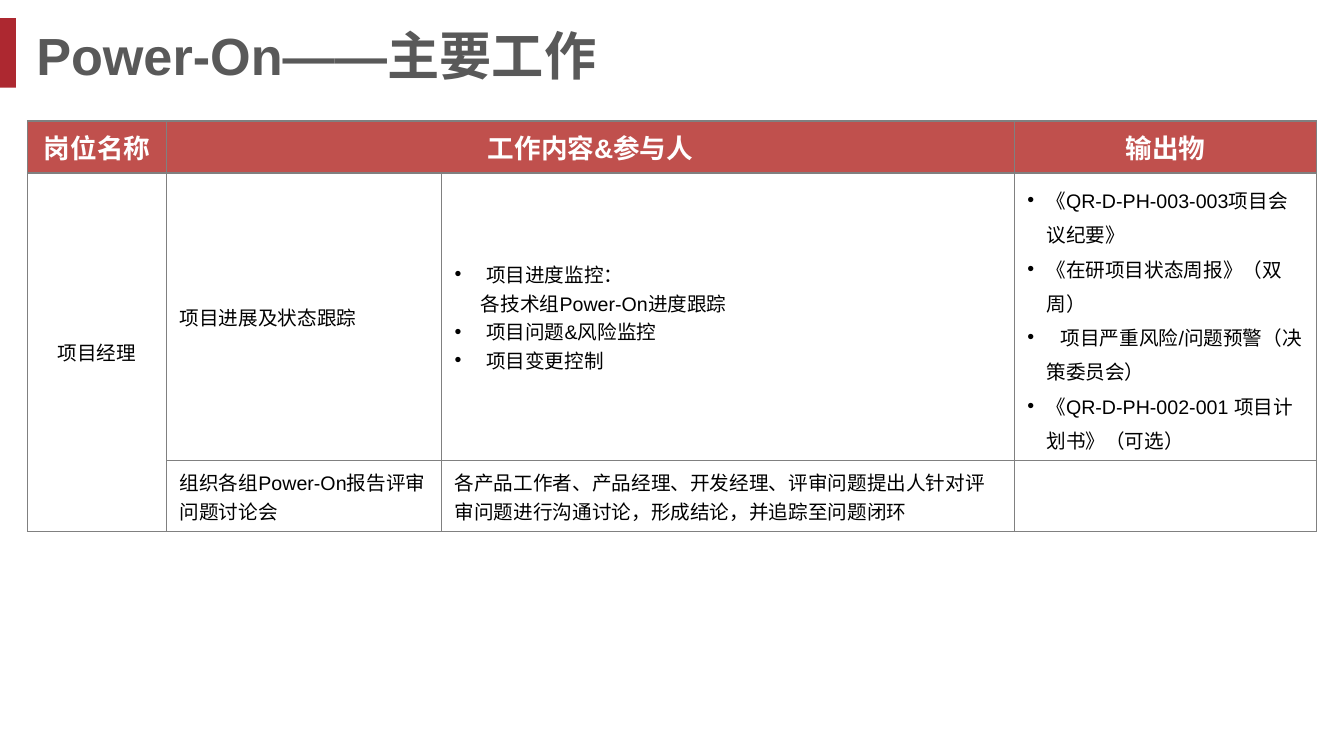
from lxml.etree import SubElement
from pptx import Presentation
from pptx.dml.color import RGBColor
from pptx.enum.shapes import MSO_SHAPE as Shape
from pptx.enum.text import MSO_ANCHOR as Anchor, MSO_AUTO_SIZE as AutoSize, PP_ALIGN as Align
from pptx.oxml import parse_xml
from pptx.oxml.ns import qn
from pptx.util import Cm, Pt

RED = RGBColor(0xAD, 0x28, 0x30)
HEADER_RED = RGBColor(0xC0, 0x50, 0x4D)
TITLE_GRAY = RGBColor(0x59, 0x59, 0x59)
BORDER_GRAY = RGBColor(0x80, 0x80, 0x80)
WHITE = RGBColor(0xFF, 0xFF, 0xFF)
BLACK = RGBColor(0, 0, 0)
FONT = "Arial"

TITLE = "Power-On——主要工作"
HEADERS = {0: "岗位名称", 1: "工作内容&参与人", 3: "输出物"}
ROLE = "项目经理"
TASKS = [
    (1, 1, "项目进展及状态跟踪"),
    (2, 1, "组织各组Power-On报告评审问题讨论会"),
    (2, 2, "各产品工作者、产品经理、开发经理、评审问题提出人针对评审问题进行沟通讨论，形成结论，并追踪至问题闭环"),
]
MONITORING = ["项目进度监控：", "各技术组Power-On进度跟踪", "项目问题&风险监控", "项目变更控制"]
SUBLINE = 1
OUTPUTS = [
    "《QR-D-PH-003-003项目会议纪要》",
    "《在研项目状态周报》（双周）",
    "\t项目严重风险/问题预警（决策委员会）",
    "《QR-D-PH-002-001 项目计划书》（可选）",
]
COLUMN_WIDTHS = [Cm(3.51), Cm(6.93), Cm(14.43), Cm(7.62)]
ROW_HEIGHTS = [Cm(1.09), Cm(5.72), Cm(1.7)]


def style_paragraph(para, size, color, bold=False, align=Align.LEFT):
    para.alignment = align
    for span in para.runs:
        span.font.name = FONT
        span.font.size = Pt(size)
        span.font.bold = bold
        span.font.color.rgb = color


def fill_cell(cell, lines, size=14, color=BLACK, bold=False, align=Align.LEFT):
    cell.text_frame.text = "\n".join(lines)
    for para in cell.text_frame.paragraphs:
        style_paragraph(para, size, color, bold, align)


def indent(para, margin, hanging=0):
    props = para._p.get_or_add_pPr()
    props.set("marL", str(margin))
    props.set("indent", str(-hanging))
    return props


def add_bullet(para, hanging, tab=None):
    props = indent(para, hanging, hanging)
    SubElement(props, qn("a:buFont"), typeface=FONT)
    SubElement(props, qn("a:buChar"), char="•")
    if tab is not None:
        tabs = SubElement(props, qn("a:tabLst"))
        SubElement(tabs, qn("a:tab"), pos=str(tab), algn="l")


def add_borders(cell):
    props = cell._tc.get_or_add_tcPr()
    for position, side in enumerate(["lnL", "lnR", "lnT", "lnB"]):
        props.insert(position, parse_xml(
            f'<a:{side} xmlns:a="http://schemas.openxmlformats.org/drawingml/2006/main" '
            f'w="{Pt(1)}"><a:solidFill><a:srgbClr val="{BORDER_GRAY}"/></a:solidFill></a:{side}>'))


def add_title(page):
    bar = page.shapes.add_shape(Shape.RECTANGLE, 0, Cm(0.46), Cm(0.4), Cm(1.75))
    bar.shadow.inherit = False
    bar.fill.solid()
    bar.fill.fore_color.rgb = RED
    bar.line.fill.background()
    title = page.shapes.title
    title.left, title.top, title.width, title.height = Cm(0.66), Cm(0.46), Cm(27.46), Cm(1.85)
    frame = title.text_frame
    frame.text = TITLE
    frame.auto_size = AutoSize.NONE
    frame.vertical_anchor = Anchor.MIDDLE
    style_paragraph(frame.paragraphs[0], 37.3, TITLE_GRAY, bold=True)


def add_work_table(page):
    table = page.shapes.add_table(
        len(ROW_HEIGHTS), len(COLUMN_WIDTHS), Cm(0.69), Cm(3.05),
        sum(COLUMN_WIDTHS), sum(ROW_HEIGHTS)).table
    table.first_row = table.horz_banding = False
    for column, width in zip(table.columns, COLUMN_WIDTHS):
        column.width = width
    for row, height in zip(table.rows, ROW_HEIGHTS):
        row.height = height
    for index, cell in enumerate(table.iter_cells()):
        is_header = index < len(COLUMN_WIDTHS)
        cell.margin_left = cell.margin_right = Cm(0.33)
        cell.margin_top = cell.margin_bottom = Cm(0.17)
        cell.vertical_anchor = Anchor.TOP if is_header else Anchor.MIDDLE
        if is_header:
            cell.fill.solid()
            cell.fill.fore_color.rgb = HEADER_RED
        else:
            cell.fill.background()
        add_borders(cell)
    table.cell(0, 1).merge(table.cell(0, 2))
    table.cell(1, 0).merge(table.cell(2, 0))

    for column, text in HEADERS.items():
        fill_cell(table.cell(0, column), [text], 19, WHITE, True, Align.CENTER)
    fill_cell(table.cell(1, 0), [ROLE], align=Align.CENTER)
    for row, column, text in TASKS:
        fill_cell(table.cell(row, column), [text])

    monitoring = table.cell(1, 2)
    fill_cell(monitoring, MONITORING)
    for index, para in enumerate(monitoring.text_frame.paragraphs):
        if index == SUBLINE:
            indent(para, Cm(0.66))
        else:
            add_bullet(para, Cm(0.79))

    outputs = table.cell(1, 3)
    fill_cell(outputs, OUTPUTS)
    for para in outputs.text_frame.paragraphs:
        add_bullet(para, Cm(0.48), Cm(0.84) if para.text.startswith("\t") else None)
        para.line_spacing = 1.2


def main():
    deck = Presentation()
    deck.slide_width, deck.slide_height = Cm(33.87), Cm(19.05)
    page = deck.slides.add_slide(deck.slide_layouts[5])
    add_title(page)
    add_work_table(page)
    deck.save("out.pptx")


if __name__ == "__main__":
    main()
